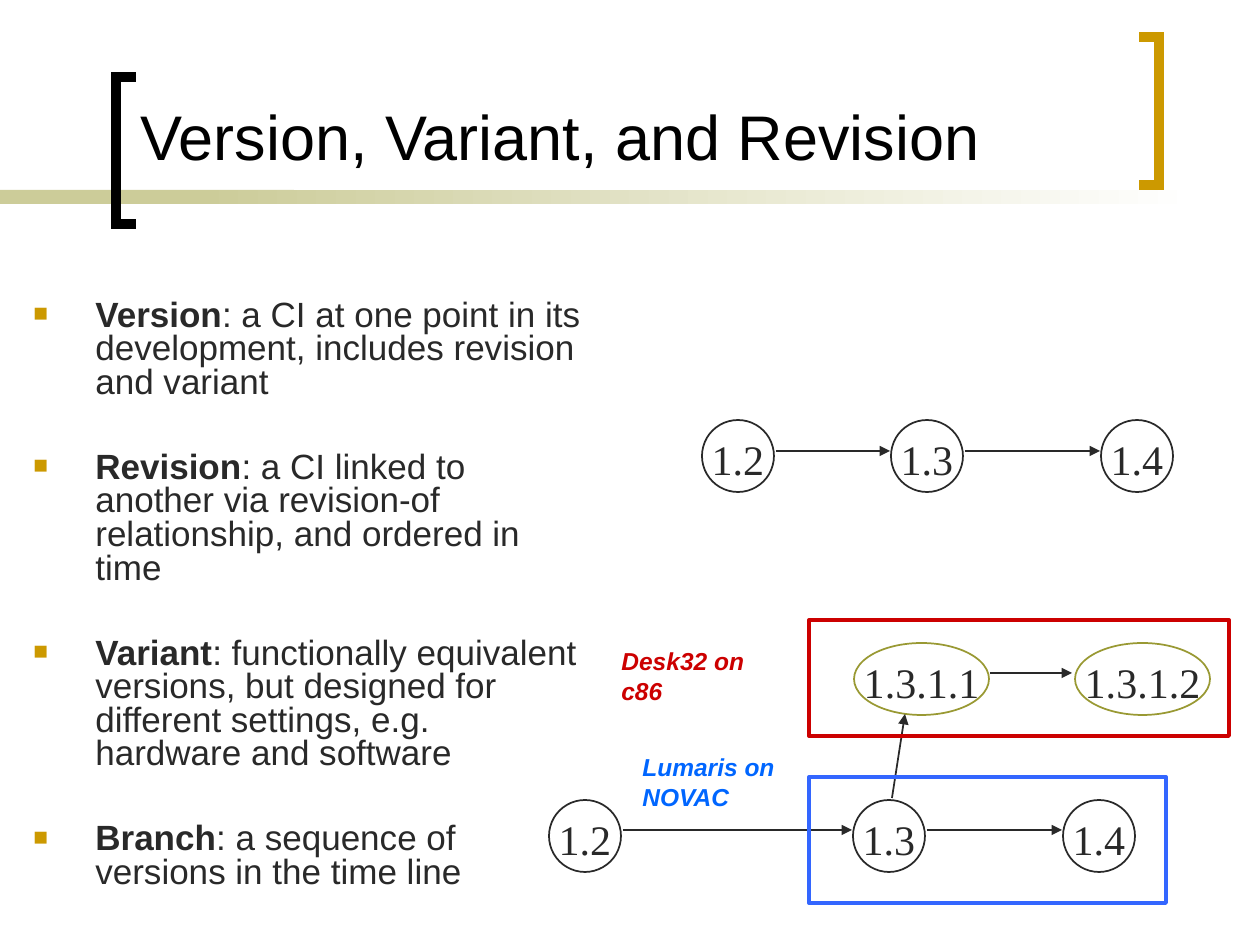
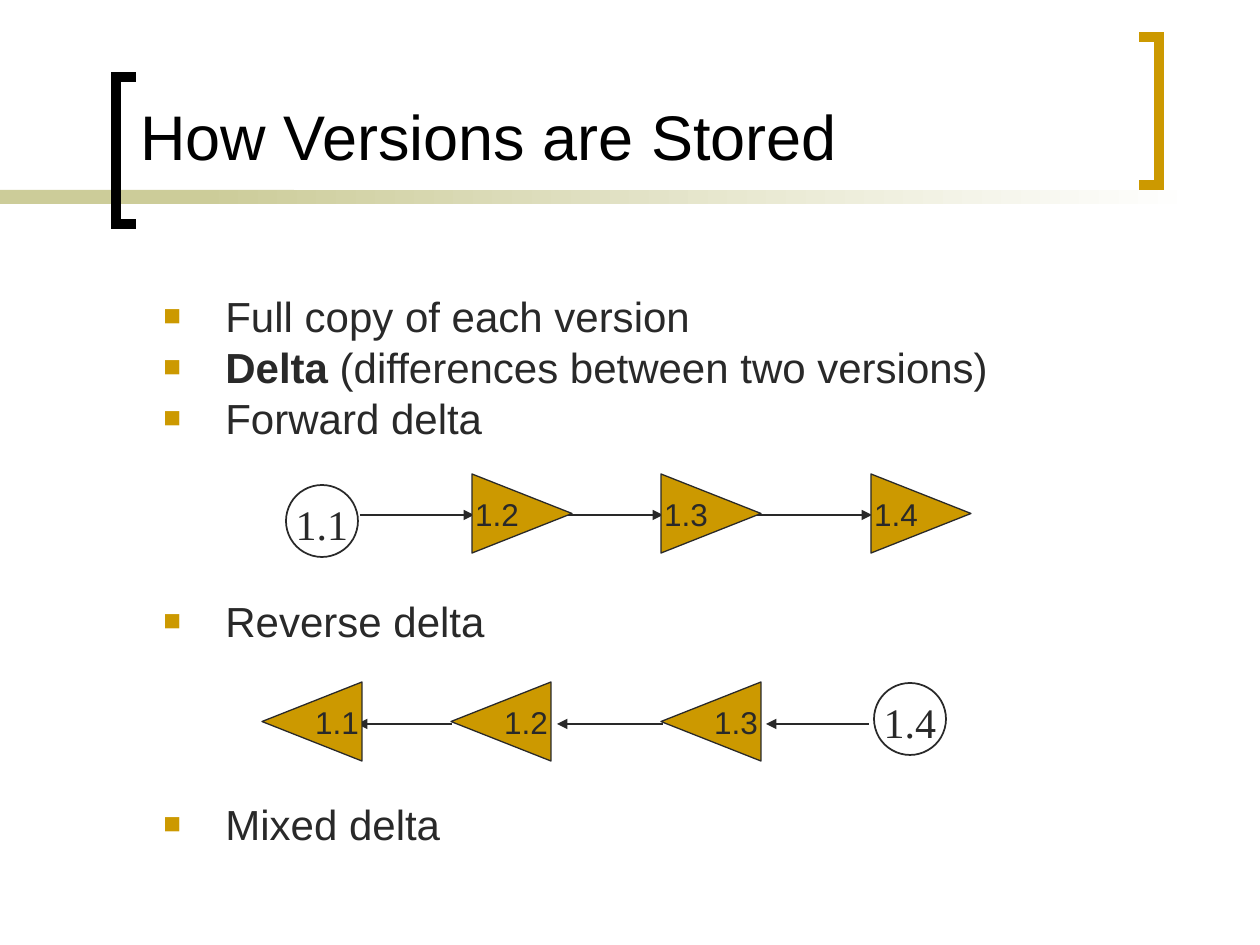
from lxml import etree
from pptx import Presentation
from pptx.dml.color import RGBColor
from pptx.enum.shapes import MSO_CONNECTOR, MSO_SHAPE
from pptx.enum.text import MSO_ANCHOR, PP_ALIGN
from pptx.oxml.ns import qn
from pptx.util import Pt

PX = 914400 / 126
RECT, OVAL, TRIANGLE = MSO_SHAPE.RECTANGLE, MSO_SHAPE.OVAL, MSO_SHAPE.ISOSCELES_TRIANGLE
STRAIGHT = MSO_CONNECTOR.STRAIGHT
TOP, MIDDLE, BOTTOM = MSO_ANCHOR.TOP, MSO_ANCHOR.MIDDLE, MSO_ANCHOR.BOTTOM
CENTER = PP_ALIGN.CENTER
SANS, SERIF = "Arial", "Times New Roman"
C = {"black": "000000", "ink": "292929", "gold": "CC9900", "sand": "CCCC99",
     "white": "FFFFFF", "olive": "999933", "red": "CC0000", "frame_blue": "3366FF",
     "label_blue": "0066FF"}
CIRCLE = 72
OVAL_W = 135
DELTA_W, DELTA_H = 100, 79


def px(n):
    """Turn px into EMU."""
    return round(n * PX)


def rgb(name):
    """Look up a palette colour."""
    return RGBColor.from_string(C[name])


def write(p, text, size=24, font=SANS, color="ink", bold=False, italic=False):
    """Add one formatted run to a paragraph."""
    r = p.add_run()
    r.text = text
    r.font.size, r.font.name = Pt(size), font
    r.font.bold, r.font.italic = bold, italic
    r.font.color.rgb = rgb(color)


def style(sp, fill=None, line=None, width=1):
    """Set the fill and outline of a shape and drop its shadow."""
    sp.shadow.inherit = False
    if fill:
        sp.fill.solid()
        sp.fill.fore_color.rgb = rgb(fill)
    else:
        sp.fill.background()
    if line:
        sp.line.color.rgb = rgb(line)
        sp.line.width = Pt(width)
    else:
        sp.line.fill.background()


def shape(s, kind, x, y, w, h, **look):
    """Add a styled preset shape."""
    sp = s.shapes.add_shape(kind, px(x), px(y), px(w), px(h))
    style(sp, **look)
    return sp


def textbox(s, x, y, w, h, anchor=TOP):
    """Add a wrapping text box and return its text frame."""
    tf = s.shapes.add_textbox(px(x), px(y), px(w), px(h)).text_frame
    tf.word_wrap = True
    tf.vertical_anchor = anchor
    return tf


def caption(sp, text, top=0, **fmt):
    """Centre an unwrapped text in a shape."""
    tf = sp.text_frame
    tf.word_wrap = False
    tf.vertical_anchor = MIDDLE
    tf.margin_left = tf.margin_right = tf.margin_bottom = 0
    tf.margin_top = px(top)
    tf.paragraphs[0].alignment = CENTER
    write(tf.paragraphs[0], text, **fmt)
    return tf


def arrow(s, x1, y1, x2, y2):
    """Draw a thin line with a triangular head at its end."""
    c = s.shapes.add_connector(STRAIGHT, px(x1), px(y1), px(x2), px(y2))
    c.line.color.rgb = rgb("ink")
    c.line.width = Pt(1)
    spPr = c._element.spPr
    etree.SubElement(spPr.find(qn("a:ln")), qn("a:tailEnd"), type="triangle")
    etree.SubElement(spPr, qn("a:effectLst"))


def node(s, x, y, text, w=CIRCLE, line="ink"):
    """Draw a full version as an outlined ellipse."""
    caption(shape(s, OVAL, x, y, w, CIRCLE, line=line), text, top=6, font=SERIF)


def delta(s, x, y, text, angle):
    """Draw a stored difference as a triangle turned by an angle, with upright text."""
    shift = (DELTA_W - DELTA_H) / 2
    sp = shape(s, TRIANGLE, x + shift, y - shift, DELTA_H, DELTA_W,
               fill="gold", line="ink", width=0.75)
    sp.rotation = angle
    tf = caption(sp, text, size=18)
    tf._txBody.bodyPr.set("vert", "vert270" if angle == 90 else "vert")


def bracket(s, x_open, x_spine, top, bottom, color):
    """Draw one heavy square bracket."""
    fb = s.shapes.build_freeform(px(x_open), px(top))
    fb.add_line_segments([(px(x_spine), px(top)), (px(x_spine), px(bottom)),
                          (px(x_open), px(bottom))], close=False)
    sp = fb.convert_to_shape()
    style(sp, line=color, width=6)
    etree.SubElement(sp._element.spPr.find(qn("a:ln")), qn("a:miter"), lim="800000")


def title_slide(prs, title):
    """Add a slide with the shared band, brackets and title."""
    s = prs.slides.add_slide(prs.slide_layouts[6])
    shape(s, RECT, 0, 190, 294, 14, fill="sand")
    band = shape(s, RECT, 199, 190, 998, 14)
    band.fill.gradient()
    band.fill.gradient_angle = 0
    for stop, color, pos in zip(band.fill.gradient_stops, ("sand", "white"), (0, 1)):
        stop.color.rgb = rgb(color)
        stop.position = pos
    bracket(s, 136, 116, 77, 224, "black")
    bracket(s, 1139, 1159, 37, 185, "gold")
    tf = textbox(s, 128, 44, 1058, 135, anchor=BOTTOM)
    write(tf.paragraphs[0], title, size=36, color="black")
    return s


def bullets(s, x, y, w, h, items, size):
    """List items of (bold lead, rest, space before) with square bullets."""
    tf = textbox(s, x, y, w, h)
    for i, (lead, rest, before) in enumerate(items):
        p = tf.paragraphs[0] if i == 0 else tf.add_paragraph()
        p.line_spacing = 0.8
        p.space_before = Pt(before)
        pPr = p._p.get_or_add_pPr()
        pPr.set("marL", str(px(62)))
        pPr.set("indent", str(-px(62)))
        clr = etree.SubElement(pPr, qn("a:buClr"))
        etree.SubElement(clr, qn("a:srgbClr"), val=C["gold"])
        etree.SubElement(pPr, qn("a:buSzPct"), val="70000")
        etree.SubElement(pPr, qn("a:buFont"), typeface=SANS)
        etree.SubElement(pPr, qn("a:buChar"), char="■")
        if lead:
            write(p, lead, size=size, bold=True)
        write(p, rest, size=size)


def label(s, x, y, h, text, color):
    """Name a branch in bold italics."""
    tf = textbox(s, x, y, 189, h)
    write(tf.paragraphs[0], text, size=14, color=color, bold=True, italic=True)


def revision_line(s, x, y, offsets, arrow_y):
    """Chain versions 1.2 to 1.4 with arrows."""
    for dx, text in zip(offsets, ("1.2", "1.3", "1.4")):
        node(s, x + dx, y, text)
    for start, end in zip(offsets, offsets[1:]):
        arrow(s, x + start + CIRCLE + 2, y + arrow_y, x + end - 1, y + arrow_y)


def branch(s, x, y):
    """Draw the variant branch, its frames and its labels."""
    for dx, text in ((45, "1.3.1.1"), (266, "1.3.1.2")):
        node(s, x + dx, y + 23, text, w=OVAL_W, line="olive")
    arrow(s, x + 83, y + 178, x + 96, y + 94)
    arrow(s, x + 181, y + 53, x + 263, y + 53)
    shape(s, RECT, x, y, 420, 116, line="red", width=2.25)
    shape(s, RECT, x, y + 157, 357, 126, line="frame_blue", width=2.25)
    label(s, x - 200, y + 20, 43, "Desk32 on c86", "red")
    label(s, x - 179, y + 126, 72, "Lumaris on NOVAC", "label_blue")


def forward_delta(s, x, y):
    """Draw a full first version followed by forward deltas."""
    node(s, x, y + 11, "1.1")
    for start, end in ((74, 188), (263, 377), (452, 586)):
        arrow(s, x + start, y + 41, x + end, y + 41)
    for dx, text in ((186, "1.2"), (375, "1.3"), (585, "1.4")):
        delta(s, x + dx, y, text, 90)


def reverse_delta(s, x, y):
    """Draw reverse deltas leading back from a full last version."""
    for start, end in ((607, 504), (401, 295), (190, 95)):
        arrow(s, x + start, y + 42, x + end, y + 42)
    for dx, text in ((0, "1.1"), (189, "1.2"), (399, "1.3")):
        delta(s, x + dx, y, text, 270)
    node(s, x + 612, y + 1, "1.4")


def versions_slide(prs):
    """Build the slide that defines version, variant and revision."""
    s = title_slide(prs, "Version, Variant, and Revision")
    gap = 29.3
    bullets(s, 21, 294, 577, 567, [
        ("Version", ": a CI at one point in its development, includes revision and variant", 0),
        ("Revision", ": a CI linked to another via revision-of relationship, "
                     "and ordered in time", gap),
        ("Variant", ": functionally equivalent versions, but designed for different "
                    "settings, e.g. hardware and software", gap),
        ("Branch", ": a sequence of versions in the time line", gap),
    ], size=20)
    revision_line(s, 702, 420, (0, 189, 399), 31)
    revision_line(s, 549, 800, (0, 304, 514), 30)
    branch(s, 809, 620)


def storage_slide(prs):
    """Build the slide on full copies and deltas."""
    s = title_slide(prs, "How Versions are Stored")
    gap = 93
    bullets(s, 151, 294, 1056, 567, [
        ("", "Full copy of each version", 0),
        ("Delta", " (differences between two versions)", 6),
        ("", "Forward delta", 6),
        ("", "Reverse delta", gap),
        ("", "Mixed delta", gap),
    ], size=24)
    forward_delta(s, 286, 474)
    reverse_delta(s, 262, 682)


def main():
    """Build and save the deck."""
    prs = Presentation()
    prs.slide_width, prs.slide_height = px(1260), px(945)
    versions_slide(prs)
    storage_slide(prs)
    prs.save("out.pptx")


if __name__ == "__main__":
    main()
